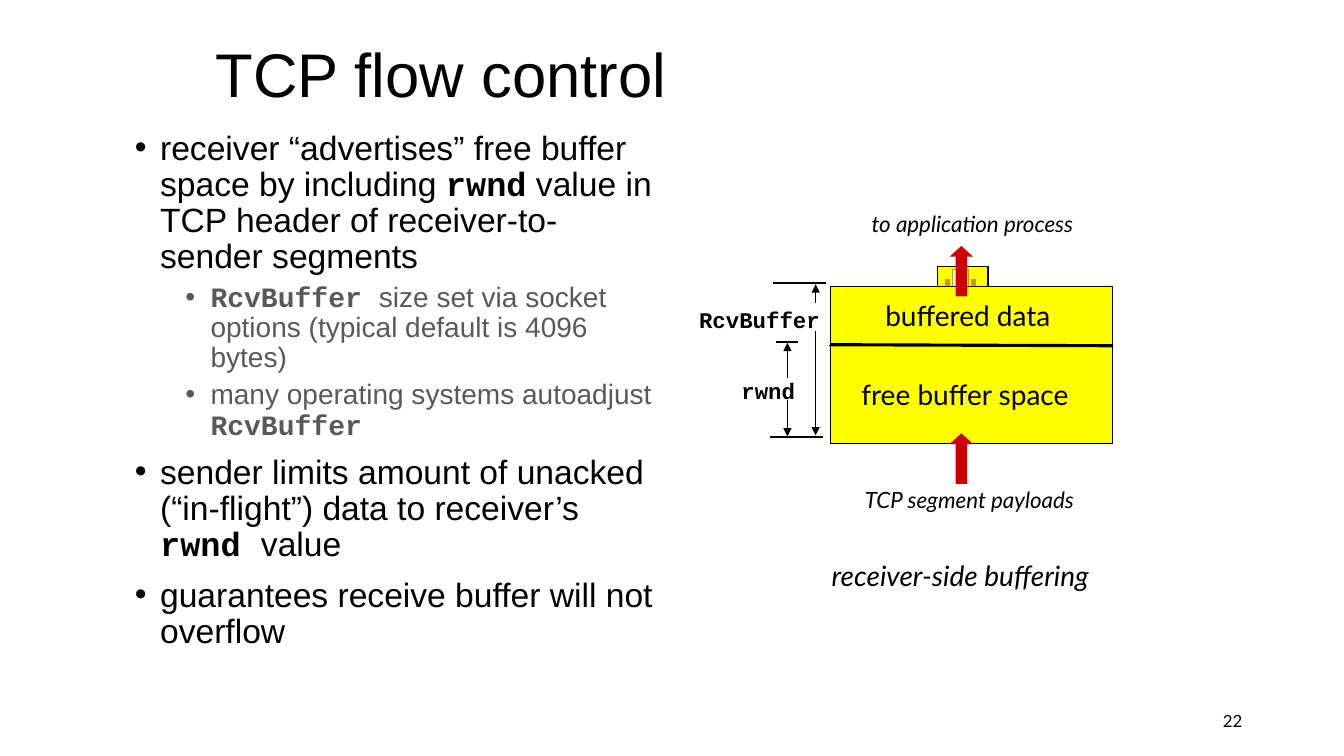
from lxml.etree import SubElement
from pptx import Presentation
from pptx.dml.color import RGBColor
from pptx.enum.shapes import MSO_CONNECTOR, MSO_SHAPE
from pptx.enum.text import MSO_ANCHOR, PP_ALIGN
from pptx.oxml.ns import qn
from pptx.util import Pt

PX = 9144
SLIDE = (1333, 750)

THEME = {
    "color": {"ink": "000000", "muted": "595959", "buffer": "FFFF00",
              "port": "FFFFFF", "ochre": "CC9900", "flow": "CC0000"},
    "text": {
        "title": {"name": "Arial", "size": 44},
        "point": {"name": "Arial", "size": 24},
        "detail": {"name": "Arial", "size": 20, "color": "muted"},
        "region": {"name": "Lato", "size": 20},
        "caption": {"name": "Lato", "size": 20, "italic": True},
        "flow": {"name": "Lato", "size": 16, "italic": True},
        "code": {"name": "Courier New", "size": 16, "bold": True},
        "number": {"name": "Lato", "size": 12},
    },
    "inline_code": {"name": "Courier New", "bold": True},
}

LEVELS = {
    "point": {"left": 25, "before": 10},
    "detail": {"left": 75, "before": 5},
}
HANGING = 25

BODY_AREA = (124, 125, 540, 581)
BODY = [
    ("point", ["receiver “advertises” free buffer space by including ", ("rwnd",),
               " value in TCP header of receiver-to-sender segments"]),
    ("detail", [("RcvBuffer ",), "size set via socket options (typical default is 4096 bytes)"]),
    ("detail", ["many operating systems autoadjust ", ("RcvBuffer",)]),
    ("point", ["sender limits amount of unacked (“in-flight”) data to receiver’s ",
               ("rwnd ",), "value"]),
    ("point", ["guarantees receive buffer will not overflow"]),
]

LABELS = [
    ("22", "number", (942, 695, 300, 40), "right", "middle", True),
    ("TCP flow control", "title", (204, 19, 850, 107), "left", "middle", True),
    ("buffered data", "region", (867, 291, 186, 43), "center", "top", False),
    ("free buffer space", "region", (843, 370, 228, 43), "center", "top", False),
    ("rwnd", "code", (725, 369, 74, 37), "center", "top", False),
    ("RcvBuffer", "code", (683, 299, 140, 37), "right", "top", False),
    ("TCP segment payloads", "flow", (840, 477, 243, 37), "center", "top", False),
    ("to application process", "flow", (848, 204, 233, 37), "center", "top", False),
    ("receiver-side buffering", "caption", (805, 549, 295, 43), "center", "top", False),
]

BLOCKS = [
    ((930, 264, 50, 23), "buffer", "ink"),
    ((945, 267, 16, 17), "port", "ochre"),
    ((964, 277, 4, 6), "ochre", "ochre"),
    ((938, 277, 4, 6), "ochre", "ochre"),
    ((824, 284, 279, 156), "buffer", "ink"),
]

FLOW_ARROW_TOPS = [244, 430]
FLOW_ARROW = {"left": 942, "width": 23, "height": 50, "head": 0.459}

LINES = [
    ((822, 343), (1104, 343), 0.75, False),
    ((824, 342), (1104, 343), 2.25, False),
    ((764, 434), (816, 434), 1.5, False),
    ((770, 339), (791, 339), 1.5, False),
    ((767, 281), (819, 281), 1.5, False),
    ((781, 375), (781, 340), 0.75, True),
    ((781, 397), (781, 433), 0.75, True),
    ((809, 301), (809, 282), 0.75, True),
    ((809, 328), (809, 432), 0.75, True),
]

ALIGN = {"left": PP_ALIGN.LEFT, "center": PP_ALIGN.CENTER, "right": PP_ALIGN.RIGHT}
ANCHOR = {"top": MSO_ANCHOR.TOP, "middle": MSO_ANCHOR.MIDDLE}


def emu(lengths):
    return [length * PX for length in lengths]


def color(name):
    return RGBColor.from_string(THEME["color"][name])


def add_span(para, text, style):
    span = para.add_run()
    span.text = text
    values = {"bold": False, "italic": False, **style}
    span.font.color.rgb = color(values.pop("color", "ink"))
    values["size"] = Pt(values["size"])
    for attribute, value in values.items():
        setattr(span.font, attribute, value)


def add_text_box(page, area, wrap, anchor):
    frame = page.shapes.add_textbox(*emu(area)).text_frame
    frame.word_wrap = wrap
    frame.vertical_anchor = ANCHOR[anchor]
    return frame


def add_label(page, text, style, area, align, anchor, wrap):
    para = add_text_box(page, area, wrap, anchor).paragraphs[0]
    para.alignment = ALIGN[align]
    add_span(para, text, THEME["text"][style])


def add_body(page):
    frame = add_text_box(page, BODY_AREA, True, "top")
    for index, (level, spans) in enumerate(BODY):
        para = frame.add_paragraph() if index else frame.paragraphs[0]
        para.level = list(LEVELS).index(level)
        para.line_spacing = 0.9
        para.space_before = Pt(LEVELS[level]["before"] if index else 0)
        style = THEME["text"][level]
        properties = para._p.get_or_add_pPr()
        properties.set("marL", str(LEVELS[level]["left"] * PX))
        properties.set("indent", str(-HANGING * PX))
        bullet_color = SubElement(properties, qn("a:buClr"))
        SubElement(bullet_color, qn("a:srgbClr"),
                   val=THEME["color"][style.get("color", "ink")])
        SubElement(properties, qn("a:buFont"), typeface="Arial")
        SubElement(properties, qn("a:buChar"), char="•")
        for span in spans:
            if isinstance(span, tuple):
                add_span(para, span[0], {**style, **THEME["inline_code"]})
            else:
                add_span(para, span, style)


def add_block(page, kind, area, fill, outline=None):
    block = page.shapes.add_shape(kind, *emu(area))
    block.shadow.inherit = False
    block.fill.solid()
    block.fill.fore_color.rgb = color(fill)
    if outline:
        block.line.color.rgb = color(outline)
        block.line.width = Pt(0.75)
    else:
        block.line.fill.background()
    return block


def add_line(page, start, end, width, arrow):
    line = page.shapes.add_connector(MSO_CONNECTOR.STRAIGHT, *emu(start + end))
    line.line.color.rgb = color("ink")
    line.line.width = Pt(width)
    if arrow:
        SubElement(line.line._get_or_add_ln(), qn("a:tailEnd"), type="triangle")
    SubElement(line._element.spPr, qn("a:effectLst"))


def main():
    deck = Presentation()
    deck.slide_width, deck.slide_height = emu(SLIDE)
    page = deck.slides.add_slide(deck.slide_layouts[6])
    for area, fill, outline in BLOCKS:
        add_block(page, MSO_SHAPE.RECTANGLE, area, fill, outline)
    for top in FLOW_ARROW_TOPS:
        area = (FLOW_ARROW["left"], top, FLOW_ARROW["width"], FLOW_ARROW["height"])
        arrow = add_block(page, MSO_SHAPE.UP_ARROW, area, "flow")
        arrow.adjustments[1] = FLOW_ARROW["head"]
    for line in LINES:
        add_line(page, *line)
    for label in LABELS:
        add_label(page, *label)
    add_body(page)
    deck.save("out.pptx")


if __name__ == "__main__":
    main()
